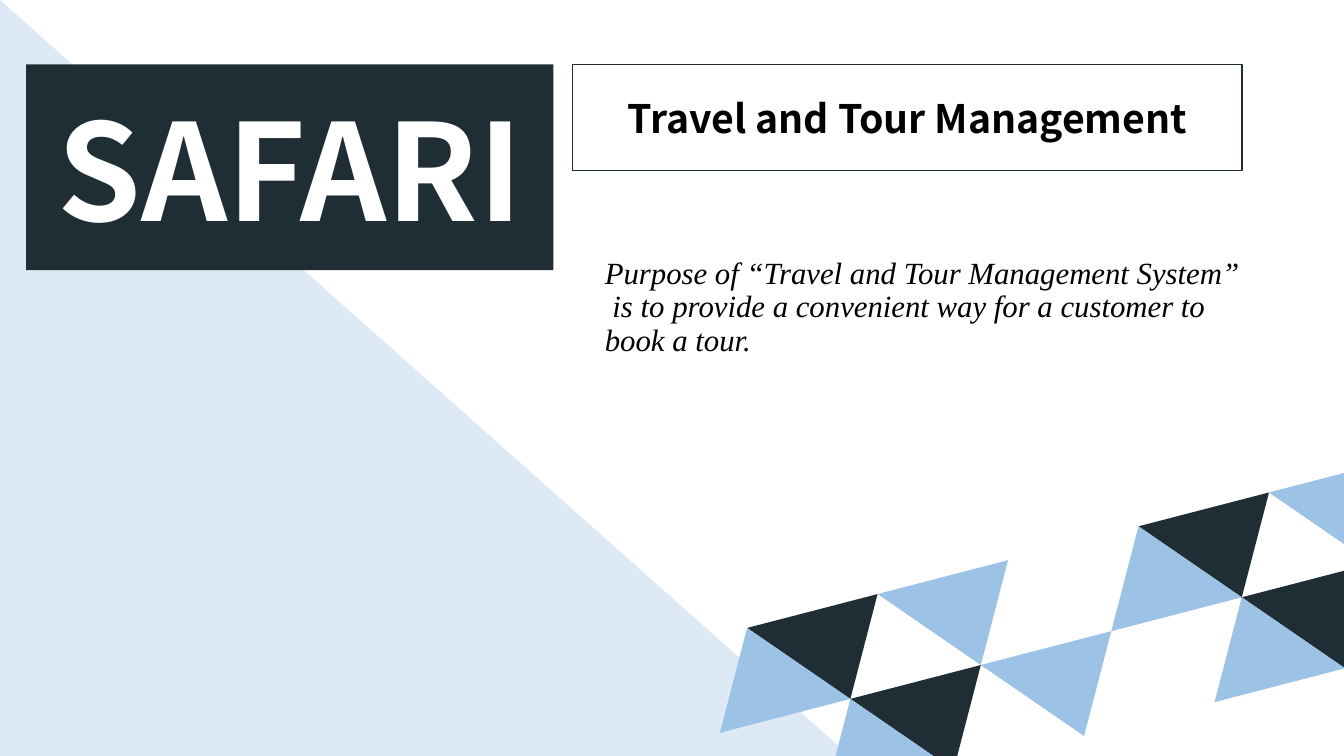
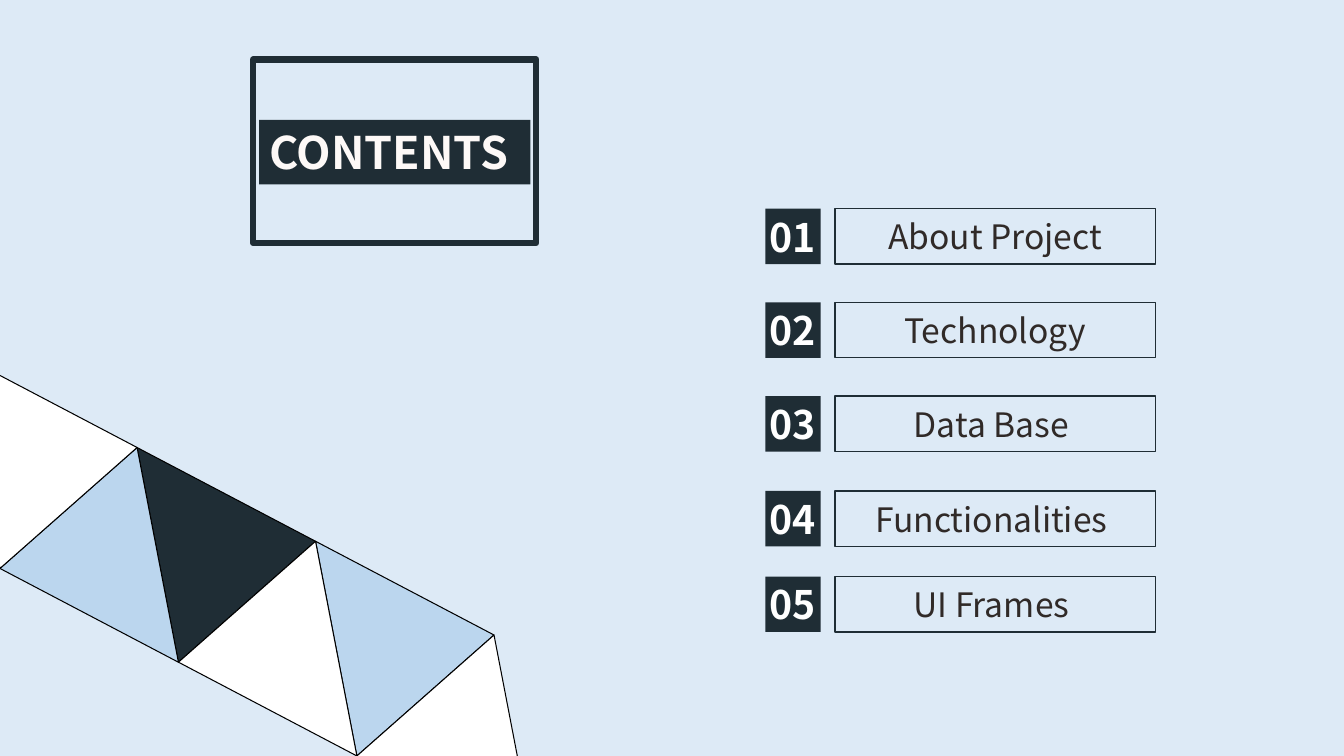
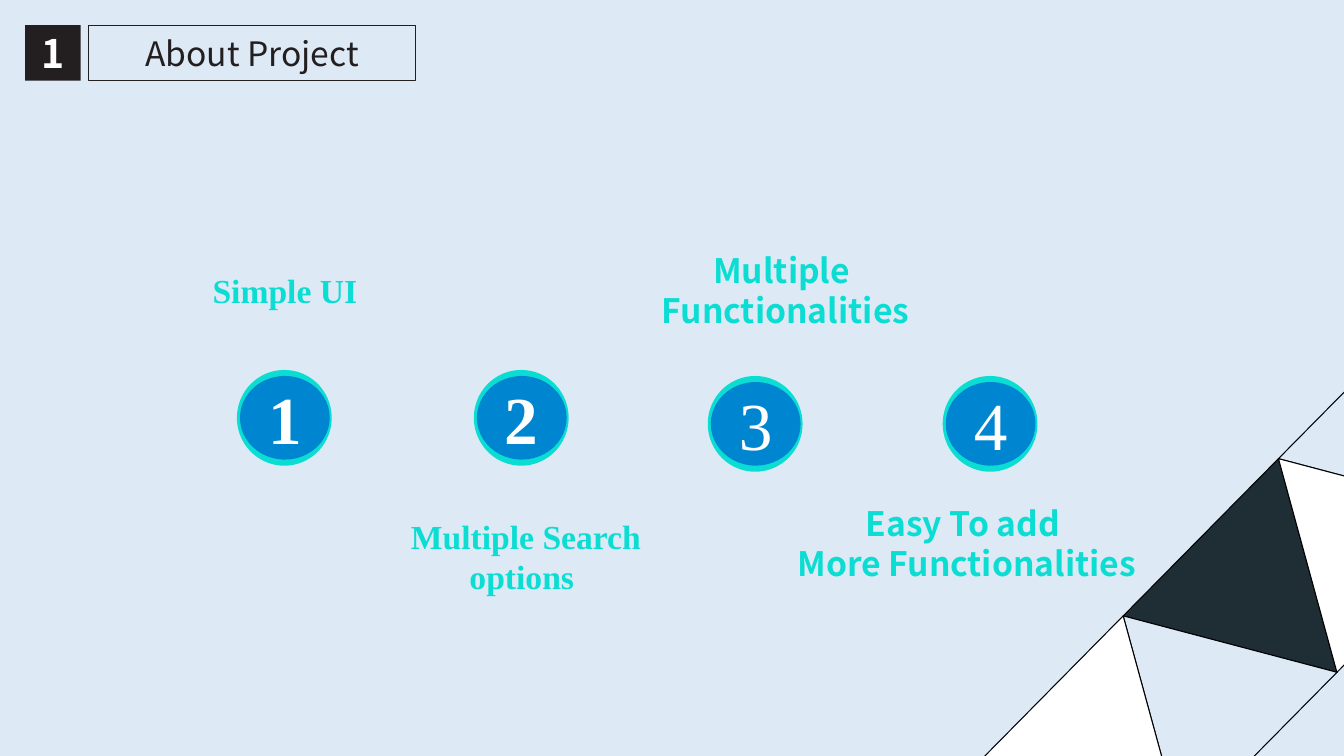
from pptx import Presentation
from pptx.dml.color import RGBColor
from pptx.enum.shapes import MSO_SHAPE as Shape
from pptx.enum.text import MSO_ANCHOR as Anchor, PP_ALIGN as Align
from pptx.util import Inches, Pt

COLORS = {
    "ink": "1F2D35", "black": "000000", "white": "FFFFFF", "cream": "FDF9F7",
    "pale": "DDEAF6", "sky": "9CC2E5", "mist": "BBD6EE", "teal": "0BDDD3",
    "blue": "0086D1", "brown": "302A28", "coal": "231F20",
}
SANS = "Noto Sans CJK SC"
SERIF = "Times New Roman"


class Style:
    """The deck's look, and the slide being filled."""

    def __init__(self):
        self.deck = Presentation()
        self.deck.slide_width = Inches(13.33)
        self.deck.slide_height = Inches(7.5)
        self.page = None

    def new_page(self, background):
        self.page = self.deck.slides.add_slide(self.deck.slide_layouts[6])
        self.paint(self.page.background.fill, background)

    def paint(self, fill, color):
        if color:
            fill.solid()
            fill.fore_color.rgb = RGBColor.from_string(COLORS[color])
        else:
            fill.background()

    def finish(self, shape, fill, line, width):
        shape.shadow.inherit = False
        self.paint(shape.fill, fill)
        self.paint(shape.line.fill, line)
        if line:
            shape.line.width = Pt(width)
        return shape

    def shape(self, kind, left, top, width, height, fill=None, line=None, weight=1):
        shape = self.page.shapes.add_shape(
            kind, Inches(left), Inches(top), Inches(width), Inches(height))
        return self.finish(shape, fill, line, weight)

    def set_text(self, shape, lines, size, color, font=SANS, bold=False, italic=False,
                 align=Align.CENTER, anchor=Anchor.MIDDLE, inset=True, spacing=None):
        frame = shape.text_frame
        frame.word_wrap = True
        frame.vertical_anchor = anchor
        if not inset:
            frame.margin_left = frame.margin_right = 0
            frame.margin_top = frame.margin_bottom = 0
        for index, line in enumerate(lines):
            para = frame.add_paragraph() if index else frame.paragraphs[0]
            para.text = line
            para.alignment = align
            if spacing:
                para.line_spacing = spacing
            para.font.name = font
            para.font.size = Pt(size)
            para.font.bold = bold
            para.font.italic = italic
            para.font.color.rgb = RGBColor.from_string(COLORS[color])

    def text(self, left, top, width, height, lines, size, color, **looks):
        box = self.page.shapes.add_textbox(
            Inches(left), Inches(top), Inches(width), Inches(height))
        self.set_text(box, lines, size, color, anchor=Anchor.TOP, **looks)

    def heading(self, left, top, number, title, gap, width, frame, color):
        """A numbered square followed by a framed title."""
        side = 0.55
        square = self.shape(Shape.RECTANGLE, left, top, side, side, fill=frame)
        self.set_text(square, [number], 28, "white", bold=True, inset=False)
        label = self.shape(Shape.RECTANGLE, left + side + gap, top, width, side, line=frame)
        self.set_text(label, [title], 24, color)

    def badge(self, left, top, number, bold):
        """A numbered disc with a teal rim."""
        self.shape(Shape.OVAL, left, top, 0.94, 0.95, fill="teal")
        disc = self.shape(Shape.OVAL, left + 0.03, top + 0.06, 0.89, 0.83, fill="blue")
        self.set_text(disc, [number], 48, "white", font=SERIF, bold=bold, inset=False)

    def mosaic(self, origin, across, rise, cells, line=None):
        """Triangles on a slanted grid; each cell splits into a near and a far half."""
        corners = {"near": [(0, 0), (0, 1), (1, 0)], "far": [(1, 0), (0, 1), (1, 1)]}
        for color, half, places in cells:
            for column, row in places:
                points = [
                    tuple(Inches(origin[axis] + (column + right) * across[axis]
                                 + (row + up) * rise[axis]) for axis in (0, 1))
                    for right, up in corners[half]]
                outline = self.page.shapes.build_freeform(*points[0])
                outline.add_line_segments(points[1:], close=True)
                self.finish(outline.convert_to_shape(), color, line, 0.75)


def build_cover(style):
    style.new_page("white")
    style.shape(Shape.RIGHT_TRIANGLE, 0, 0, 8.43, 7.5, fill="pale")
    style.mosaic((7.14, 7.27), (6.47 / 5, -1.68 / 5), (0.27, -1.04), [
        ("white", "near", [(1, 0), (2, 0), (4, 0), (2, -1), (3, -1)]),
        ("white", "far", [(2, 0), (3, -1)]),
        ("ink", "far", [(0, 0), (1, -1), (3, 0), (4, -1)]),
        ("sky", "near", [(0, 0), (1, -1), (3, 0), (4, -1)]),
        ("sky", "far", [(1, 0), (2, -1), (4, 0)]),
    ])
    # Name, title and purpose
    name = style.shape(Shape.RECTANGLE, 0.26, 0.64, 5.23, 2.04, fill="ink")
    style.set_text(name, ["SAFARI"], 96, "white", bold=True, inset=False)
    title = style.shape(Shape.RECTANGLE, 5.68, 0.64, 6.64, 1.05, line="ink")
    style.set_text(title, ["Travel and Tour Management"], 28, "black", bold=True)
    purpose = ("Purpose of “Travel and Tour Management System”\v is to provide "
               "a convenient way for a customer to book a tour.")
    style.text(5.9, 2.51, 6.51, 1.42, [purpose], 22, "black", font=SERIF,
               italic=True, align=Align.LEFT, spacing=0.9)


def build_contents(style):
    style.new_page("pale")
    # Framed title
    style.shape(Shape.RECTANGLE, 2.51, 0.59, 2.81, 1.82, line="ink", weight=4.5)
    band = style.shape(Shape.RECTANGLE, 2.57, 1.19, 2.69, 0.64, fill="ink")
    style.set_text(band, ["CONTENTS"], 32, "cream", bold=True,
                   align=Align.LEFT, anchor=Anchor.TOP)
    # Numbered list
    topics = [(2.07, "About Project"), (3, "Technology"), (3.93, "Data Base "),
              (4.87, "Functionalities "), (5.72, "UI Frames ")]
    for number, (top, topic) in enumerate(topics, 1):
        style.heading(7.59, top, f"{number:02}", topic, 0.14, 3.18, "ink", "brown")
    style.mosaic((0, 5.64), (1.77, 0.93), (1.36, -1.2), [
        ("ink", "far", [(0, 0)]),
        ("mist", "far", [(1, 0)]),
        ("mist", "near", [(0, 0)]),
        ("white", "far", [(-1, 0)]),
        ("white", "near", [(1, 0), (2, 0)]),
    ], line="black")


def build_about(style):
    style.new_page("pale")
    style.heading(0.25, 0.25, "1", "About Project", 0.08, 3.24, "coal", "coal")
    # Numbered discs
    discs = [(2.35, 3.67, True), (4.7, 3.67, True), (7.02, 3.73, False), (9.35, 3.73, False)]
    for number, (left, top, bold) in enumerate(discs, 1):
        style.badge(left, top, str(number), bold)
    # Captions
    captions = [
        (2.01, 2.63, 1.64, 0.5, ["Simple UI"], SERIF, Align.LEFT),
        (3.83, 5.07, 2.69, 0.91, [" Multiple Search", "options"], SERIF, Align.CENTER),
        (6.17, 2.43, 3.24, 0.91, ["Multiple ", "Functionalities"], SANS, Align.CENTER),
        (7.68, 4.94, 3.74, 0.91, ["Easy To add", " More Functionalities"], SANS, Align.CENTER),
    ]
    for left, top, width, height, lines, font, align in captions:
        style.text(left, top, width, height, lines, 24, "teal",
                   font=font, bold=True, align=align)
    style.mosaic((11.14, 6.11), (2.12, 0.56), (1.54, -1.56), [
        ("ink", "near", [(0, 0)]),
        ("pale", "near", [(0, 1)]),
        ("pale", "far", [(0, -1)]),
        ("white", "near", [(0, -1)]),
        ("white", "far", [(0, 0)]),
    ], line="black")


def main():
    style = Style()
    build_cover(style)
    build_contents(style)
    build_about(style)
    style.deck.save("out.pptx")


if __name__ == "__main__":
    main()
